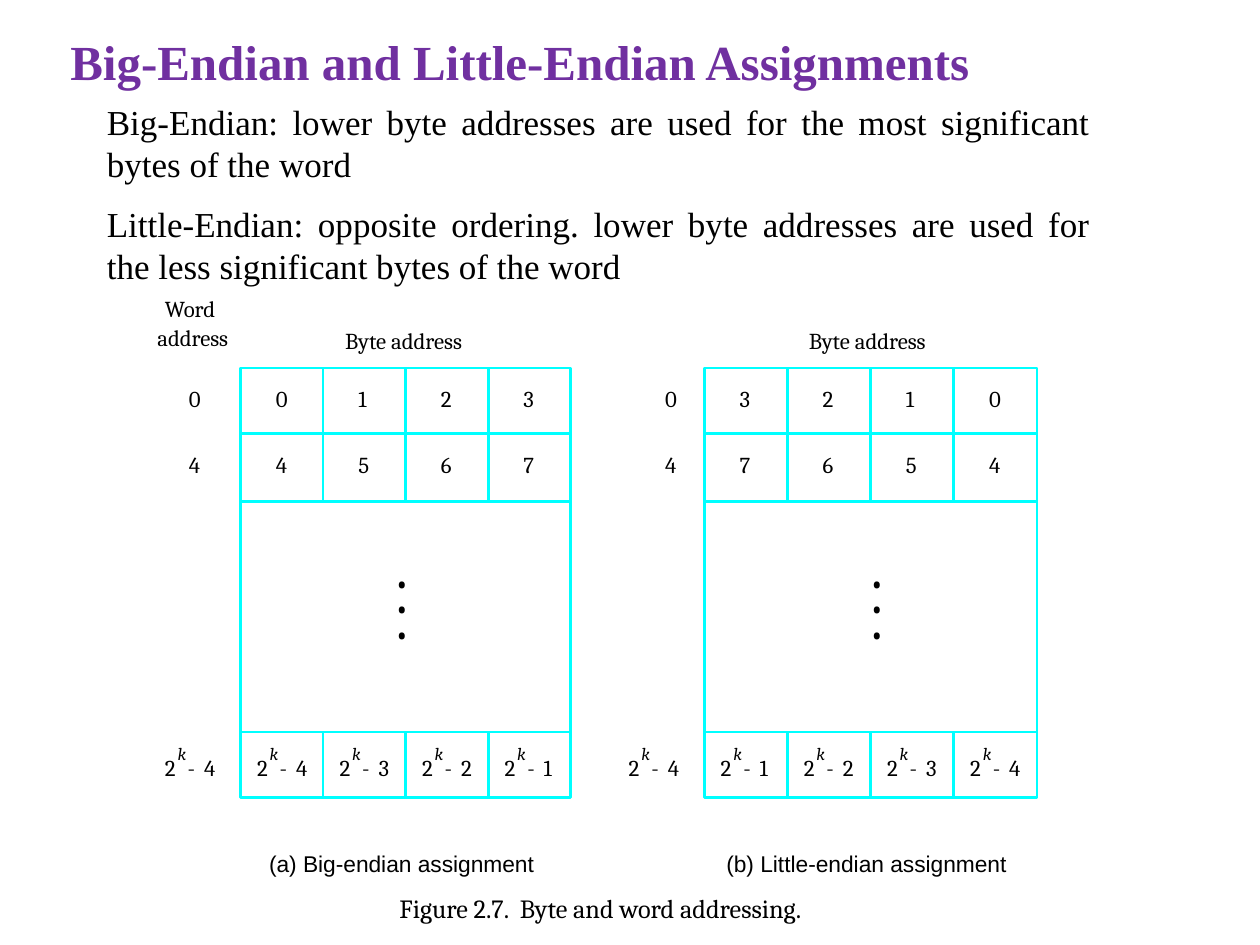
import pptx
import pptx.dml.color
import pptx.enum.shapes
import pptx.enum.text
import pptx.oxml.ns
import pptx.util
from lxml import etree

SCALE = 9144
COLORS = {"title": "7030A0", "text": "000000", "grid": "00FFFF"}
ALIGN = pptx.enum.text.PP_ALIGN
ANCHOR = pptx.enum.text.MSO_ANCHOR
SIZING = pptx.enum.text.MSO_AUTO_SIZE
FONTS = {
    "title": {"name": "Times New Roman", "size": 28, "bold": True},
    "body": {"name": "Times New Roman", "size": 20},
    "label": {"name": "Cambria", "size": 13},
    "power": {"name": "Cambria", "size": 10, "italic": True},
    "dots": {"name": "Cambria", "size": 20},
    "part": {"name": "Arial", "size": 13},
    "figure": {"name": "Cambria", "size": 15},
}
FLUSH = {"margin_left": 0, "margin_right": 0, "margin_top": 0, "margin_bottom": 0,
         "word_wrap": False}
PANELS = [
    {"box": (191, 292, 262, 341), "rows": ["0123", "4567"], "last": "4321",
     "gap": 41, "dots": 112, "name": "(a) Big-endian assignment", "wide": 211},
    {"box": (559, 292, 264, 341), "rows": ["3210", "7654"], "last": "1234",
     "gap": 31, "dots": 121, "name": "(b) Little-endian assignment", "wide": 223},
]


def px(*nums):
    """Turn px lengths into EMU."""
    return [pptx.util.Emu(round(num * SCALE)) for num in nums]


def put(item, values):
    """Set each attribute of an item from a dict."""
    for key, value in values.items():
        setattr(item, key, value)


def color(name):
    """Return a named colour."""
    return pptx.dml.color.RGBColor.from_string(COLORS[name])


def fill(frame, lines, style, tone="text", **form):
    """Write paragraphs of one style into a text frame."""
    for num, line in enumerate(lines):
        par = frame.add_paragraph() if num else frame.paragraphs[0]
        run = par.add_run()
        run.text = line
        put(run.font, {**FONTS[style], "size": pptx.util.Pt(FONTS[style]["size"])})
        run.font.color.rgb = color(tone)
        put(par, form)
        if num:
            par.space_before = pptx.util.Pt(10)


def label(slide, box, text, style="label", **form):
    """Place a one-line text without margins."""
    frame = slide.shapes.add_textbox(*px(*box)).text_frame
    put(frame, FLUSH)
    fill(frame, [text], style, **form)


def block(slide, box, lines, style, **form):
    """Place a wrapped text of several paragraphs."""
    frame = slide.shapes.add_textbox(*px(*box)).text_frame
    frame.word_wrap = True
    fill(frame, lines, style, **form)


def rule(slide, *ends):
    """Draw one grid line."""
    line = slide.shapes.add_connector(pptx.enum.shapes.MSO_CONNECTOR.STRAIGHT, *px(*ends))
    line.line.color.rgb = color("grid")
    line.line.width = pptx.util.Pt(1.5)
    etree.SubElement(line._element.spPr, pptx.oxml.ns.qn("a:effectLst"))


def power(slide, left, top, digit):
    """Write two to the k less a digit."""
    label(slide, (left, top, 10, 22), "2")
    label(slide, (left + 10, top - 8, 7, 17), "k", "power")
    label(slide, (left + 18, top, 6, 22), "-")
    label(slide, (left + 31, top, 10, 22), digit)


def grid(slide, left, top, width, height):
    """Draw the frame and rules of a memory map."""
    frame = slide.shapes.add_shape(pptx.enum.shapes.MSO_SHAPE.RECTANGLE,
                                   *px(left, top, width, height))
    frame.shadow.inherit = False
    frame.fill.background()
    frame.line.color.rgb = color("grid")
    frame.line.width = pptx.util.Pt(1.5)
    right, base = left + width, top + height
    for drop in (52, 106, 289):
        rule(slide, left, top + drop, right, top + drop)
    for col in range(1, 4):
        edge = left + col * width / 4
        rule(slide, edge, top, edge, top + 106)
        rule(slide, edge, top + 289, edge, base)


def panel(slide, box, rows, last, gap, dots, name, wide):
    """Build one memory map with its labels."""
    left, top, width, height = box
    grid(slide, *box)
    label(slide, (left + 83, top - 33, 106, 22), "Byte address")
    for drop, word, row in zip((13, 66), "04", rows):
        label(slide, (left - gap, top + drop, 10, 22), word)
        for col, digit in enumerate(row):
            label(slide, (left + 28 + col * width / 4, top + drop, 10, 22), digit)
    power(slide, left - 60, top + 306, "4")
    for col, digit in enumerate(last):
        power(slide, left + 13 + col * width / 4, top + 306, digit)
    block(slide, (left + dots, top + 170, 29, 90), ["•"] * 3, "dots", line_spacing=0.2)
    label(slide, (left - 3 + (width - wide) / 2, top + 382, wide, 22), name, "part")


def head(slide, box):
    """Place and format the title."""
    title = slide.shapes.title
    put(title, dict(zip(("left", "top", "width", "height"), px(*box))))
    put(title.text_frame, {"vertical_anchor": ANCHOR.MIDDLE, "word_wrap": True,
                           "auto_size": SIZING.NONE})
    fill(title.text_frame, ["Big-Endian and Little-Endian Assignments"],
         "title", "title", alignment=ALIGN.CENTER)


def main():
    """Build and save the slide."""
    deck = pptx.Presentation()
    deck.slide_width, deck.slide_height = px(1000, 750)
    slide = deck.slides.add_slide(deck.slide_layouts[5])
    head(slide, (0, 13, 825, 70))
    block(slide, (75, 75, 800, 162), [
        "Big-Endian: lower byte addresses are used for the most significant "
        "bytes of the word",
        "Little-Endian: opposite ordering. lower byte addresses are used for "
        "the less significant bytes of the word",
    ], "body", alignment=ALIGN.JUSTIFY)
    label(slide, (131, 234, 43, 22), "Word")
    label(slide, (125, 257, 64, 22), "address")
    for item in PANELS:
        panel(slide, **item)
    label(slide, (317, 708, 358, 25), "Figure 2.7.  Byte and word addressing.", "figure")
    deck.save("out.pptx")


if __name__ == "__main__":
    main()
